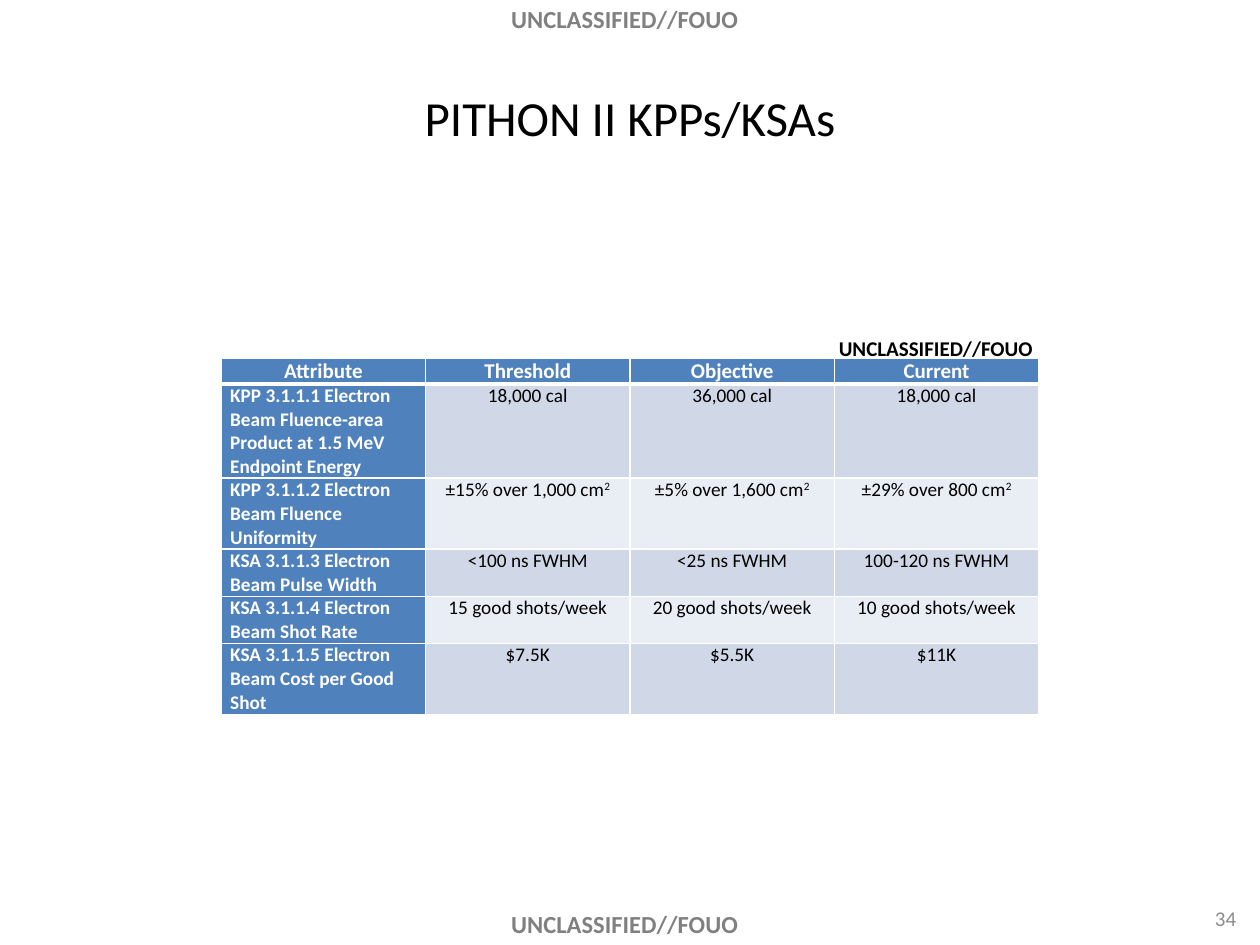
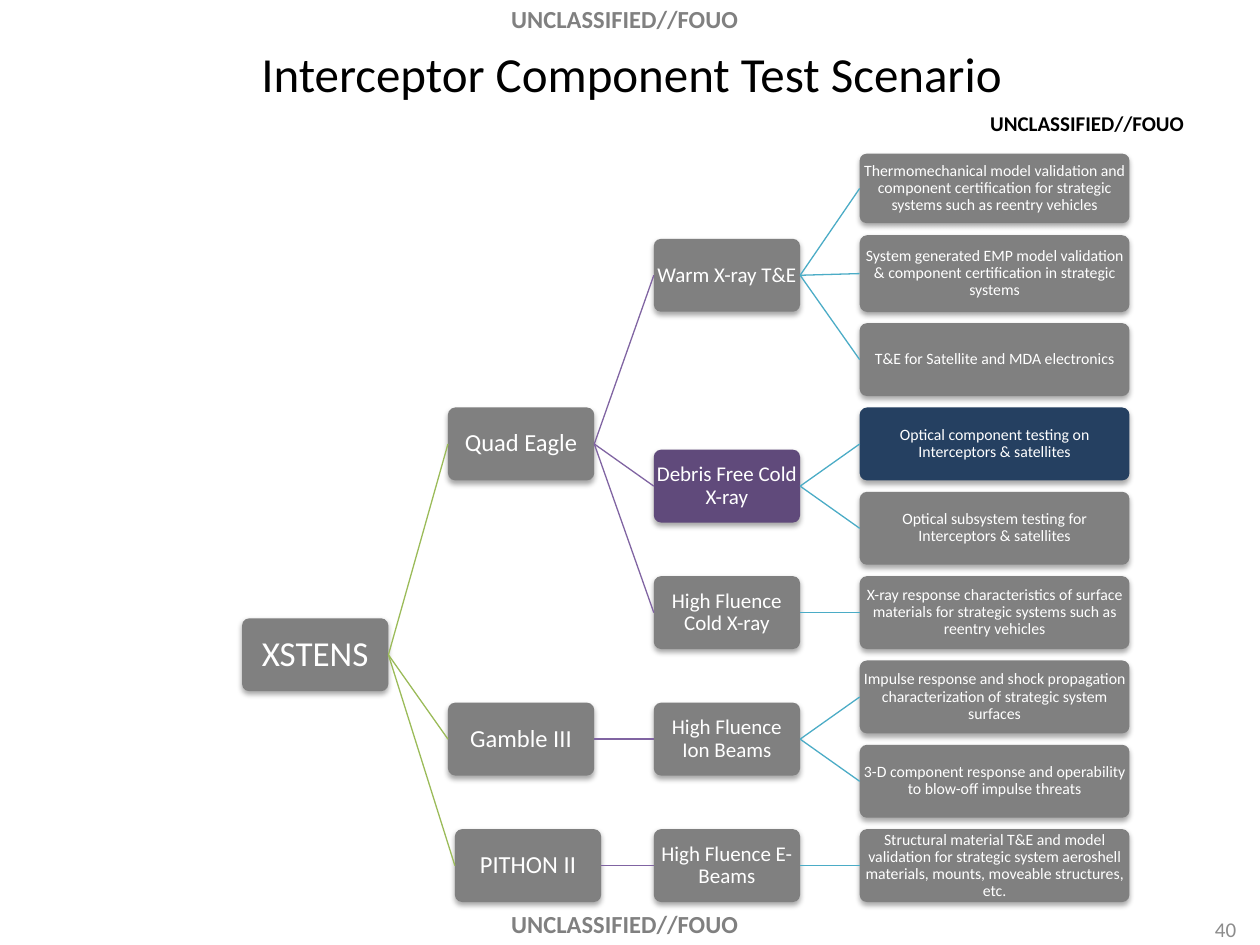
from dataclasses import dataclass

from lxml import etree
from pptx import Presentation
from pptx.dml.color import RGBColor
from pptx.enum.shapes import MSO_CONNECTOR as CONN, MSO_SHAPE as SHAPE
from pptx.enum.text import MSO_ANCHOR as ANCHOR, PP_ALIGN as ALIGN
from pptx.oxml.ns import qn
from pptx.util import Cm, Pt


@dataclass(frozen=True)
class Theme:
    font: str = "Calibri"
    white: str = "FFFFFF"
    black: str = "000000"
    gray: str = "808080"
    number: str = "8C8C8C"
    header: str = "4F81BD"
    stripes: tuple = ("D0D8E8", "E9EDF4")
    purple: str = "604A7B"
    navy: str = "254061"
    branches: tuple = ("9BBB59", "8064A2", "4BACC6")
    title_size: int = 28
    band_size: int = 14
    label_size: int = 12
    cell_size: int = 11
    level_sizes: tuple = (20, 14, 12, 9)


T = Theme()
MARKING = "UNCLASSIFIED//FOUO"


def style(p, size, color, bold=False, align=ALIGN.CENTER):
    p.alignment = align
    p.font.name, p.font.size, p.font.bold = T.font, Pt(size), bold
    p.font.color.rgb = RGBColor.from_string(color)


def add_label(s, text, box, color, bold=False, align=ALIGN.LEFT, wrap=True):
    tf = s.shapes.add_textbox(*map(Cm, box)).text_frame
    tf.word_wrap = wrap
    tf.text = text
    style(tf.paragraphs[0], T.label_size, color, bold, align)


prs = Presentation()
prs.slide_width, prs.slide_height = Cm(25.4), Cm(19.05)

# Slides with title, page number and marking
pages = [
    # title, title left and top, number, number top, marking box, wrap
    ("PITHON II KPPs/KSAs", 1.27, 0.76, "34", 18.12,
     (16.66, 6.63, 4.47, 0.76), False),
    ("Interceptor Component Test Scenario", 1.3, -0.13, "40", 18.35,
     (19.71, 2.11, 4.67, 0.76), True),
]
for title, left, top, number, number_top, marking_box, wrap in pages:
    s = prs.slides.add_slide(prs.slide_layouts[5])
    sp = s.shapes.title
    sp.left, sp.top, sp.width, sp.height = map(Cm, (left, top, 22.86, 3.18))
    sp.text_frame.text = title
    sp.text_frame.vertical_anchor = ANCHOR.MIDDLE
    style(sp.text_frame.paragraphs[0], T.title_size, T.black)
    add_label(s, number, (19.25, number_top, 5.92, 0.8), T.number, align=ALIGN.RIGHT)
    add_label(s, MARKING, marking_box, T.black, bold=True, wrap=wrap)
table_slide, tree_slide = prs.slides

# Classification bands, moved to the master
for n, top in enumerate((-0.05, 18.19)):
    sp = table_slide.shapes.add_shape(SHAPE.RECTANGLE, Cm(8.05), Cm(top), Cm(9.09), Cm(0.86))
    sp.name = f"Classification band {n + 1}"
    sp.shadow.inherit = False
    sp.fill.solid()
    sp.fill.fore_color.rgb = RGBColor.from_string(T.white)
    sp.line.fill.background()
    sp.text_frame.word_wrap = True
    sp.text_frame.text = MARKING
    style(sp.text_frame.paragraphs[0], T.band_size, T.gray, bold=True)
    sp._element.nvSpPr.cNvPr.set("id", str(20 + n))
    prs.slide_master.shapes._spTree.append(sp._element)

# Attribute table; ^ starts a superscript
rows = [
    ("Attribute", "Threshold", "Objective", "Current"),
    ("KPP 3.1.1.1 Electron Beam Fluence-area Product at 1.5 MeV Endpoint Energy",
     "18,000 cal", "36,000 cal", "18,000 cal"),
    ("KPP 3.1.1.2 Electron Beam Fluence Uniformity",
     "±15% over 1,000 cm^2", "±5% over 1,600 cm^2", "±29% over 800 cm^2"),
    ("KSA 3.1.1.3 Electron Beam Pulse Width",
     "<100 ns FWHM", "<25 ns FWHM", "100-120 ns FWHM"),
    ("KSA 3.1.1.4 Electron Beam Shot Rate",
     "15 good shots/week", "20 good shots/week", "10 good shots/week"),
    ("KSA 3.1.1.5 Electron Beam Cost per Good Shot", "$7.5K", "$5.5K", "$11K"),
]
row_heights = (0.52, 1.9, 1.43, 0.95, 0.95, 1.43)
table = table_slide.shapes.add_table(
    len(rows), 4, Cm(4.46), Cm(7.22), Cm(16.48), Cm(sum(row_heights))).table
for col in table.columns:
    col.width = Cm(4.12)
for r, (texts, height) in enumerate(zip(rows, row_heights)):
    table.rows[r].height = Cm(height)
    for c, text in enumerate(texts):
        cell = table.cell(r, c)
        heading = r == 0 or c == 0
        cell.margin_left = cell.margin_right = Cm(0.18)
        cell.margin_top = cell.margin_bottom = 0
        # Borders come before the fill
        for side in "LRTB":
            thick = (r, side) in ((0, "B"), (1, "T"))
            ln = etree.SubElement(cell._tc.get_or_add_tcPr(), qn(f"a:ln{side}"),
                                  w=str(Pt(3 if thick else 1)))
            fill = etree.SubElement(ln, qn("a:solidFill"))
            etree.SubElement(fill, qn("a:srgbClr"), val=T.white)
        cell.fill.solid()
        cell.fill.fore_color.rgb = RGBColor.from_string(
            T.header if heading else T.stripes[(r - 1) % 2])
        base, _, power = text.partition("^")
        p = cell.text_frame.paragraphs[0]
        p.add_run().text = base
        if power:
            run = p.add_run()
            run.text = power
            run.font._element.set("baseline", "30000")
        style(p, T.label_size if r == 0 else T.cell_size,
              T.white if heading else T.black, heading,
              ALIGN.LEFT if c == 0 and r else ALIGN.CENTER)

# Test scenario tree: text, parent, level, row
nodes = [
    ("XSTENS", None, 0, 5.5),
    ("Quad Eagle", "XSTENS", 1, 3),
    ("Gamble III", "XSTENS", 1, 6.5),
    ("PITHON II", "XSTENS", 1, 8),
    ("Warm X-ray T&E", "Quad Eagle", 2, 1),
    ("Debris Free Cold X-ray", "Quad Eagle", 2, 3.5),
    ("High Fluence Cold X-ray", "Quad Eagle", 2, 5),
    ("High Fluence Ion Beams", "Gamble III", 2, 6.5),
    ("High Fluence E-Beams", "PITHON II", 2, 8),
    ("Thermomechanical model validation and component certification for "
     "strategic systems such as reentry vehicles", "Warm X-ray T&E", 3, -0.03),
    ("System generated EMP model validation & component certification in "
     "strategic systems", "Warm X-ray T&E", 3, 0.98),
    ("T&E for Satellite and MDA electronics", "Warm X-ray T&E", 3, 2),
    ("Optical component testing on Interceptors & satellites",
     "Debris Free Cold X-ray", 3, 3),
    ("Optical subsystem testing for Interceptors & satellites",
     "Debris Free Cold X-ray", 3, 4),
    ("X-ray response characteristics of surface materials for strategic "
     "systems such as reentry vehicles", "High Fluence Cold X-ray", 3, 5),
    ("Impulse response and shock propagation characterization of strategic "
     "system surfaces", "High Fluence Ion Beams", 3, 6),
    ("3-D component response and operability to blow-off impulse threats",
     "High Fluence Ion Beams", 3, 7),
    ("Structural material T&E and model validation for strategic system "
     "aeroshell materials, mounts, moveable structures, etc.",
     "High Fluence E-Beams", 3, 8),
]
special_fills = {"Debris Free Cold X-ray": T.purple,
                 "Optical component testing on Interceptors & satellites": T.navy}
special_heights = {-0.03: 1.4, 0.98: 1.55}
boxes = {}
for text, parent, level, row in nodes:
    left = 4.88 + 4.15 * level + (0.14 if text == "PITHON II" else 0)
    height = special_heights.get(row, 1.47)
    sp = tree_slide.shapes.add_shape(
        SHAPE.ROUNDED_RECTANGLE, Cm(left), Cm(3.85 + 1.7 * row - height / 2),
        Cm(5.44 if level == 3 else 2.95), Cm(height))
    boxes[text] = sp
    sp.adjustments[0] = 0.1
    sp.fill.solid()
    sp.fill.fore_color.rgb = RGBColor.from_string(special_fills.get(text, T.gray))
    sp.line.fill.background()

    # Soft shadow below the box
    sp.shadow.inherit = False
    shadow = etree.SubElement(sp._element.spPr.find(qn("a:effectLst")), qn("a:outerShdw"),
                              blurRad="40000", dist="23000", dir="5400000", rotWithShape="0")
    color = etree.SubElement(shadow, qn("a:srgbClr"), val=T.black)
    etree.SubElement(color, qn("a:alpha"), val="35000")

    tf = sp.text_frame
    tf.word_wrap = True
    tf.vertical_anchor = ANCHOR.MIDDLE
    tf.margin_left = tf.margin_right = tf.margin_top = tf.margin_bottom = Cm(0.02)
    tf.text = text
    p = tf.paragraphs[0]
    p.line_spacing = 0.9
    style(p, T.level_sizes[level], T.white)

    # Branch from the parent
    if parent:
        branch = tree_slide.shapes.add_connector(CONN.STRAIGHT, 0, 0, 0, 0)
        branch.begin_connect(boxes[parent], 3)
        branch.end_connect(sp, 1)
        branch.line.width = Pt(0.75)
        branch.line.color.rgb = RGBColor.from_string(T.branches[level - 1])
        etree.SubElement(branch._element.spPr, qn("a:effectLst"))

prs.save("out.pptx")
